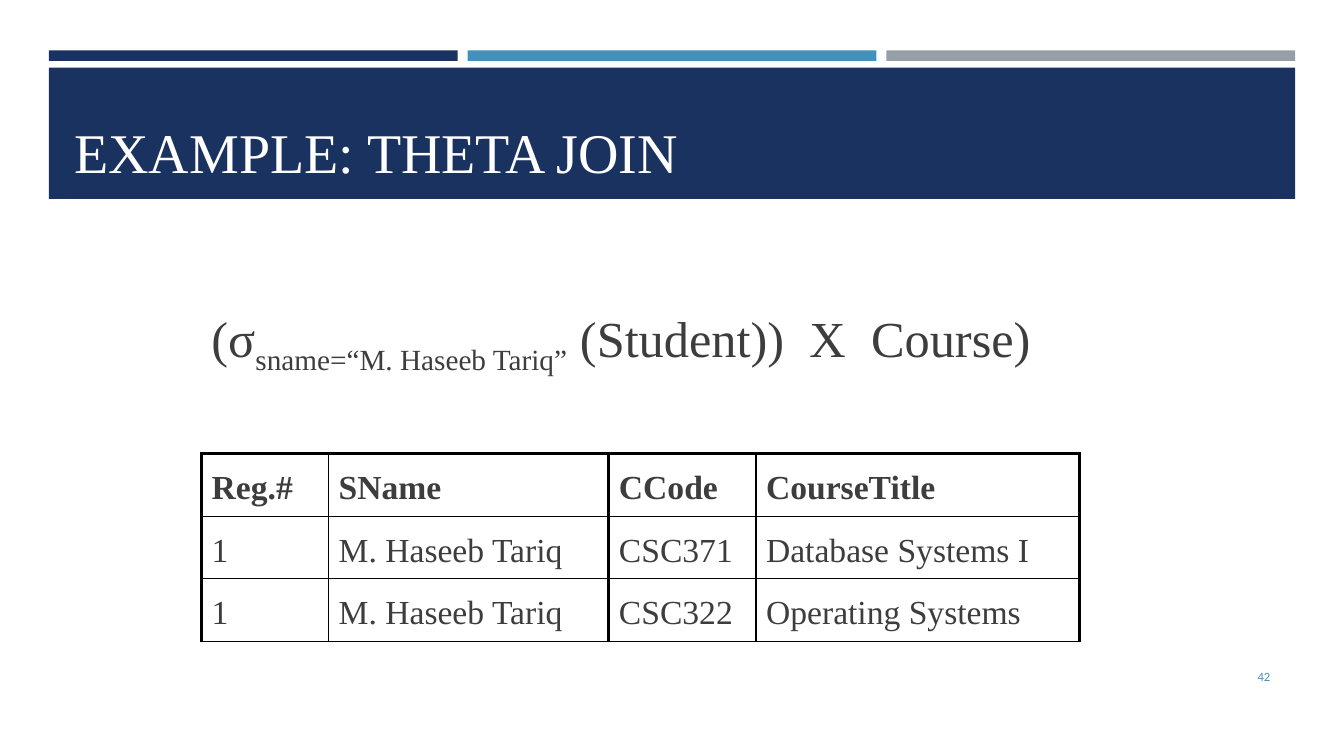
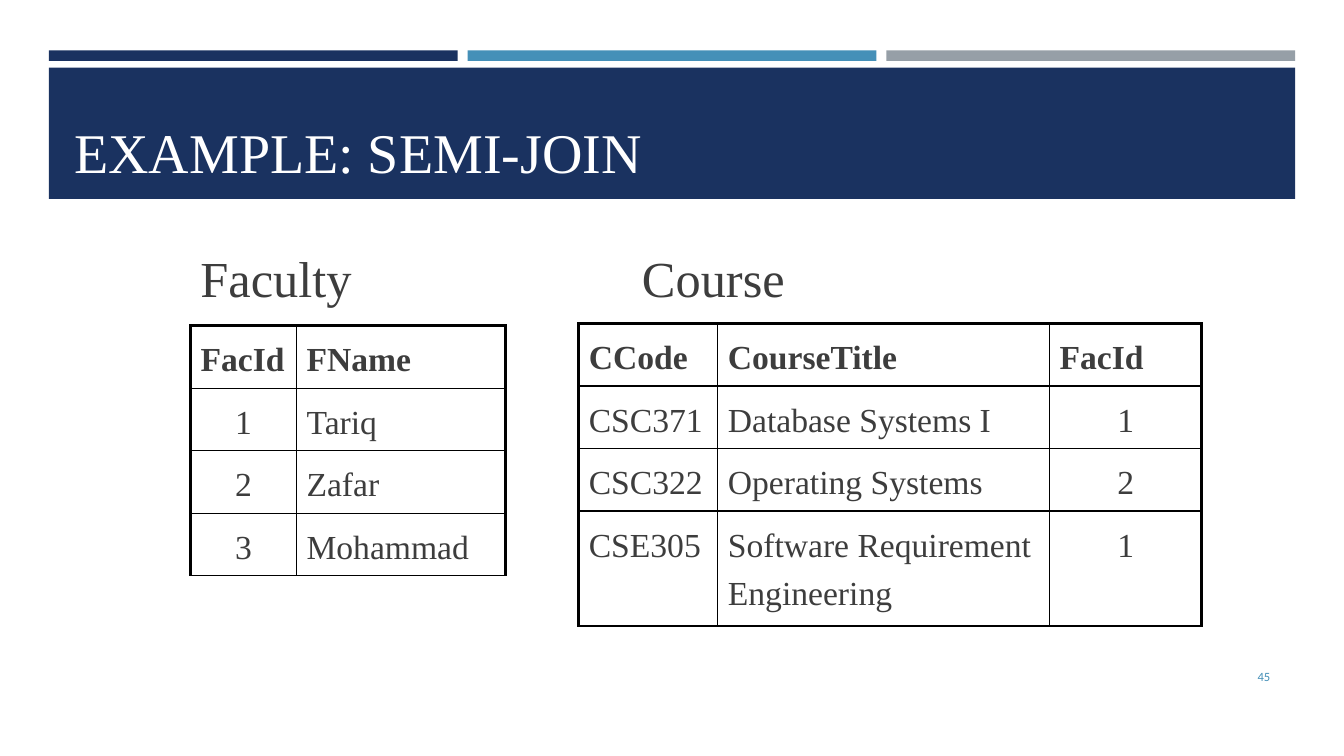
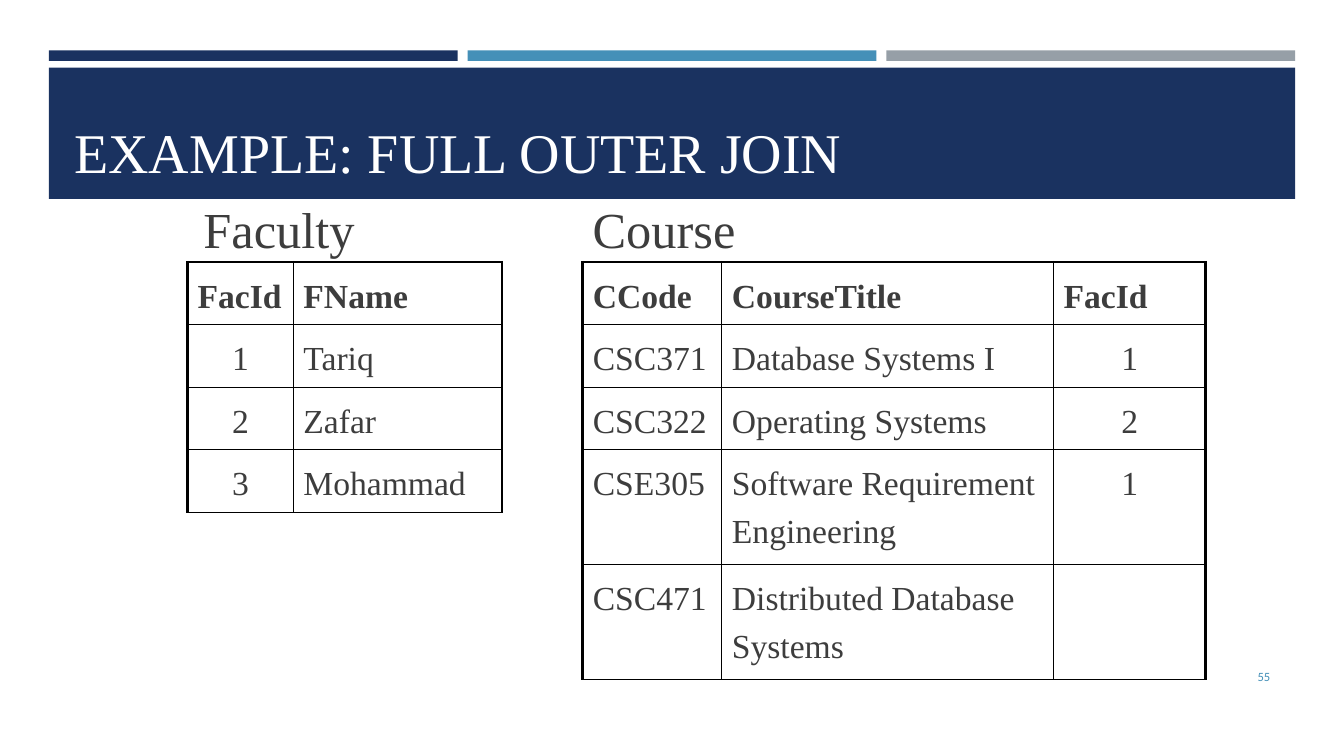
"""Build three slides on relational joins."""
from lxml import etree
from pptx import Presentation
from pptx import util as u
from pptx.dml.color import RGBColor
from pptx.enum import shapes, text
from pptx.oxml.ns import qn

WIDE, HIGH = u.Inches(13.33), u.Inches(7.5)
HUES = {"navy": "1A3260", "blue": "4590B8", "grey": "969FA7",
        "ink": "3D3D3D", "white": "FFFFFF", "black": "000000"}
SERIF, SANS = "Times New Roman", "Calibri"
EDGE, GAP = 3.64, 0.75
ROW = 7.6
LEFT, MID, RIGHT = text.PP_ALIGN.LEFT, text.PP_ALIGN.CENTER, text.PP_ALIGN.RIGHT
TOP, CORE, BASE = (text.MSO_ANCHOR.TOP, text.MSO_ANCHOR.MIDDLE,
                   text.MSO_ANCHOR.BOTTOM)

FAC = [["FacId", "FName"], ["1", "Tariq"], ["2", "Zafar"], ["3", "Mohammad"]]
COURSE = [["CCode", "CourseTitle", "FacId"],
          ["CSC371", "Database Systems I", "1"],
          ["CSC322", "Operating Systems", "2"],
          ["CSE305", "Software Requirement Engineering", "1"]]
EXTRA = ["CSC471", "Distributed Database Systems", ""]
PUPIL = [["Reg.#", "SName"], ["1", "M. Haseeb Tariq"], ["1", "M. Haseeb Tariq"]]
FAC_COLS, COURSE_COLS = [7.88, 15.53], [10.35, 24.68, 11.33]


def hue(name):
    """Return a named colour."""
    return RGBColor.from_string(HUES[name])


def across(share):
    """Turn a percentage of the slide's width into a length."""
    return u.Emu(round(WIDE * share / 100))


def down(share):
    """Turn a percentage of the slide's height into a length."""
    return u.Emu(round(HIGH * share / 100))


def place(x, y, w, h):
    """Turn four percentages into a position and a size."""
    return across(x), down(y), across(w), down(h)


def style(para, size, color, face=SERIF, bold=False, align=LEFT):
    """Set the font and alignment of a paragraph."""
    font = para.font
    font.name, font.size, font.bold = face, u.Pt(size), bold
    font.color.rgb = hue(color)
    para.alignment = align


def block(slide, box, color):
    """Draw a plain filled rectangle."""
    shape = slide.shapes.add_shape(shapes.MSO_SHAPE.RECTANGLE, *place(*box))
    shape.shadow.inherit = False
    shape.fill.solid()
    shape.fill.fore_color.rgb = hue(color)
    shape.line.fill.background()


def write(slide, box, runs, size, color, anchor=TOP, **look):
    """Write one paragraph of (words, baseline) runs."""
    frame = slide.shapes.add_textbox(*place(*box)).text_frame
    frame.word_wrap, frame.vertical_anchor = True, anchor
    para = frame.paragraphs[0]
    style(para, size, color, **look)
    for words, shift in runs:
        run = para.add_run()
        run.text = words
        if shift:
            run._r.get_or_add_rPr().set("baseline", str(shift * 1000))


def label(slide, x, y, words, w=17.03):
    """Write a large line above a table."""
    runs = [(words, 0)] if isinstance(words, str) else words
    write(slide, (x, y, w, 9.47), runs, 36, "ink")


def rule(cell, side, width):
    """Draw one border of a cell."""
    line = etree.SubElement(cell._tc.get_or_add_tcPr(), qn("a:ln" + side),
                            w=str(u.Pt(width)))
    fill = etree.SubElement(line, qn("a:solidFill"))
    etree.SubElement(fill, qn("a:srgbClr"), val=HUES["black"])


def grid(slide, x, y, cols, rows, mid=None):
    """Draw a ruled table, centring the figures of column mid."""
    box = place(x, y, sum(cols), ROW * len(rows))
    table = slide.shapes.add_table(len(rows), len(cols), *box).table
    table.first_row = table.horz_banding = False
    for col, w in zip(table.columns, cols):
        col.width = across(w)
    for r, row in enumerate(rows):
        for c, words in enumerate(row):
            cell = table.cell(r, c)
            heavy = {"L": c == 0, "R": c == len(cols) - 1,
                     "T": r == 0, "B": False}
            for side, thick in heavy.items():
                rule(cell, side, 2.25 if thick else 1)
            cell.fill.solid()
            cell.fill.fore_color.rgb = hue("white")
            cell.text = words
            para = cell.text_frame.paragraphs[0]
            para.line_spacing = 1.3
            style(para, 24, "ink", bold=r == 0,
                  align=MID if r and c == mid else LEFT)


def start(deck, title, page):
    """Add a slide with its bands, title and page number."""
    slide = deck.slides.add_slide(deck.slide_layouts[6])
    full = 100 - 2 * EDGE
    wide = (full - 2 * GAP) / 3
    for i, color in enumerate(["navy", "blue", "grey"]):
        block(slide, (EDGE + i * (wide + GAP), 6.67, wide, 1.4), color)
    block(slide, (EDGE, 8.95, full, 17.35), "navy")
    write(slide, (4.8, 10.27, 90.4, 14.8), [(title, 0)], 40, "white", BASE)
    write(slide, (86.63, 86.8, 8.63, 5.33), [(page, 0)], 9, "blue", CORE,
          face=SANS, align=RIGHT)
    return slide


def theta(deck):
    """Build the theta join slide."""
    slide = start(deck, "EXAMPLE: THETA JOIN", "42")
    grid(slide, 45.3, 60, [10.95, 24.08],
         [row[:2] for row in COURSE[:3]])
    grid(slide, 15, 60, [9.45, 20.85], PUPIL)
    label(slide, 15, 40, [("(σ", 0), ("sname=“M. Haseeb Tariq”", -25),
                          (" (Student))  X  Course)", 0)], 66)


def semi(deck):
    """Build the semi-join slide."""
    slide = start(deck, "EXAMPLE: SEMI-JOIN", "45")
    grid(slide, 43.06, 42.8, COURSE_COLS, COURSE, 2)
    grid(slide, 14.18, 43.07, FAC_COLS, FAC, 0)
    label(slide, 14.18, 32, "Faculty")
    label(slide, 47.03, 32, "Course")


def outer(deck):
    """Build the full outer join slide."""
    slide = start(deck, "EXAMPLE: FULL OUTER JOIN", "55")
    grid(slide, 43.36, 34.67, COURSE_COLS, COURSE + [EXTRA], 2)
    grid(slide, 13.95, 34.67, FAC_COLS, FAC, 0)
    label(slide, 14.4, 25.6, "Faculty")
    label(slide, 43.36, 25.6, "Course")


def main():
    """Build and save the deck."""
    deck = Presentation()
    deck.slide_width, deck.slide_height = WIDE, HIGH
    for build in (theta, semi, outer):
        build(deck)
    deck.save("out.pptx")


if __name__ == "__main__":
    main()
